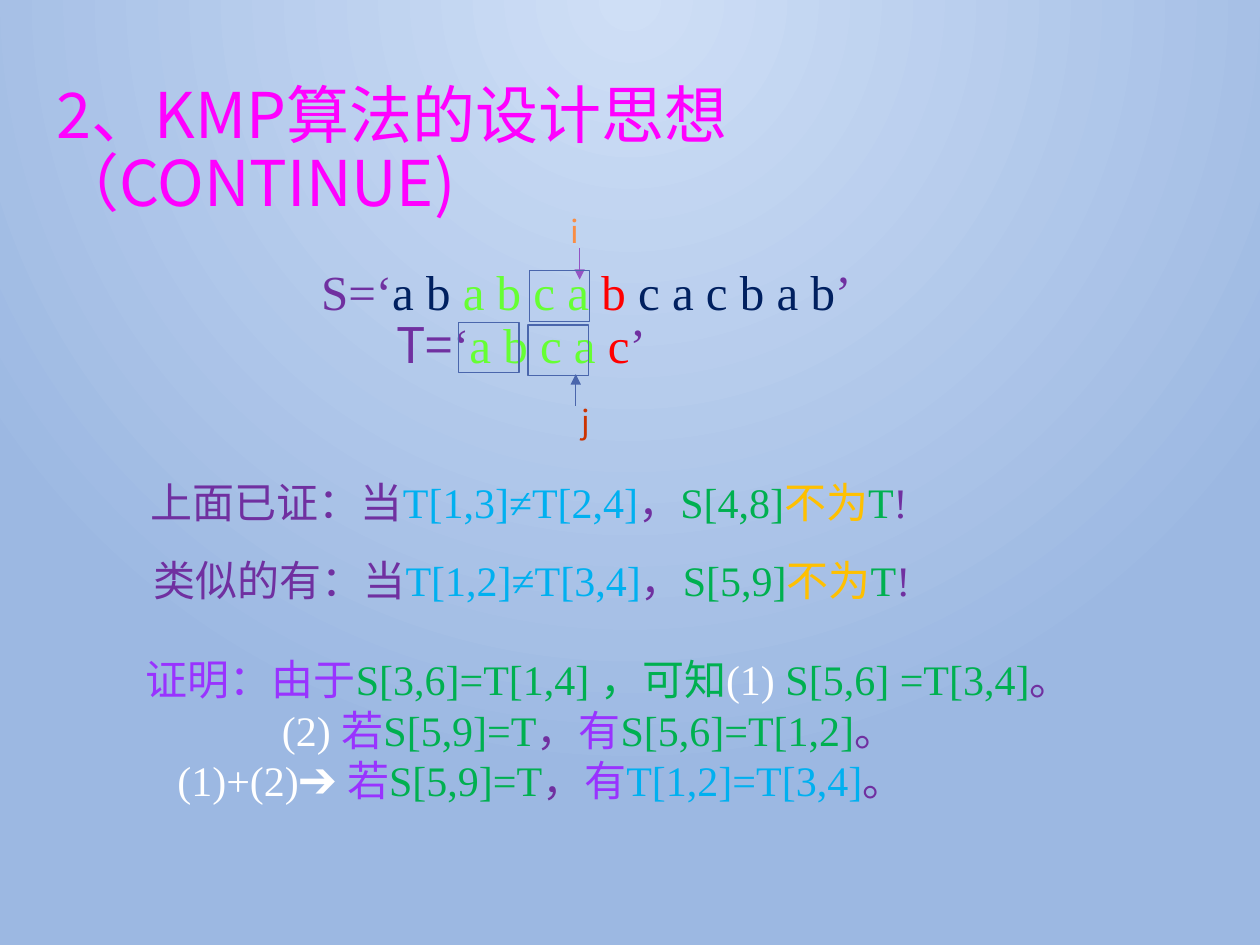
from lxml.etree import SubElement
from pptx import Presentation
from pptx.dml.color import RGBColor
from pptx.enum.shapes import MSO_CONNECTOR, MSO_SHAPE
from pptx.oxml.ns import qn
from pptx.util import Inches, Pt

SERIF = "Times New Roman"
SANS = "Noto Sans CJK SC"

PURPLE = RGBColor(0x70, 0x30, 0xA0)
VIOLET = RGBColor(0x99, 0x33, 0xFF)
SKY = RGBColor(0x00, 0xB0, 0xF0)
GREEN = RGBColor(0x00, 0xB0, 0x50)
LIME = RGBColor(0x66, 0xFF, 0x33)
GOLD = RGBColor(0xFF, 0xC0, 0x00)
RED = RGBColor(0xFF, 0x00, 0x00)
NAVY = RGBColor(0x00, 0x20, 0x60)
WHITE = RGBColor(0xFF, 0xFF, 0xFF)
MAGENTA = RGBColor(0xFF, 0x00, 0xFF)
ORANGE = RGBColor(0xF9, 0x8D, 0x43)
RUST = RGBColor(0xCC, 0x33, 0x00)
BLUE = RGBColor(0x4A, 0x66, 0xAC)
LILAC = RGBColor(0x94, 0x54, 0xC3)
BG_LIGHT = RGBColor(0xCF, 0xDF, 0xF6)
BG_DARK = RGBColor(0x9C, 0xB8, 0xE2)


def set_background(s):
    """Radial gradient spreading from the top centre."""
    fill = s.background.fill
    fill.gradient()
    for stop, color, position in zip(fill.gradient_stops, (BG_LIGHT, BG_DARK), (0, 1)):
        stop.color.rgb = color
        stop.position = position
    grad = s.background._cSld.find(".//" + qn("a:gradFill"))
    grad.remove(grad.find(qn("a:lin")))
    radial = SubElement(grad, qn("a:path"), path="circle")
    SubElement(radial, qn("a:fillToRect"), l="43000", t="0", r="43000", b="100000")


def add_text(s, box, lines, size, font=SERIF, indents=(0,), wrap=True):
    """Each line is a list of (text, colour) or (text, colour, font) runs."""
    tf = s.shapes.add_textbox(*map(Inches, box)).text_frame
    tf.word_wrap = wrap
    for i, (runs, indent) in enumerate(zip(lines, indents)):
        p = tf.paragraphs[0] if i == 0 else tf.add_paragraph()
        if indent:
            p._p.get_or_add_pPr().set("marL", str(Inches(indent)))
        p.font.size = Pt(size)
        p.font.name = font
        for text, color, *own_font in runs:
            r = p.add_run()
            r.text = text
            r.font.color.rgb = color
            if own_font:
                r.font.name = own_font[0]
    return tf


def add_frame(s, x, y):
    """Outline around two matching letters."""
    sp = s.shapes.add_shape(MSO_SHAPE.RECTANGLE, *map(Inches, (x, y, 0.48, 0.4)))
    sp.shadow.inherit = False
    sp.fill.background()
    sp.line.color.rgb = BLUE
    sp.line.width = Pt(0.75)


def add_arrow(s, x, y_from, y_to, color):
    line = s.shapes.add_connector(
        MSO_CONNECTOR.STRAIGHT, *map(Inches, (x, y_from, x, y_to)))
    line.line.color.rgb = color
    line.line.width = Pt(0.75)
    SubElement(line.line._get_or_add_ln(), qn("a:tailEnd"), type="triangle")
    SubElement(line._element.spPr, qn("a:effectLst"))


def claim(lead, condition, part):
    return [(lead, PURPLE), (condition, SKY), ("，", PURPLE), (part, GREEN),
            ("不为", GOLD), ("T", GREEN), ("!", PURPLE)]


def deduction(label, result, color):
    return [(label, WHITE), ("若", VIOLET), ("S[5,9]=T", GREEN), ("，", PURPLE),
            ("有", VIOLET), (result, color), ("。", PURPLE)]


def main():
    prs = Presentation()
    prs.slide_width, prs.slide_height = Inches(10), Inches(7.5)
    s = prs.slides.add_slide(prs.slide_layouts[6])
    set_background(s)

    # Title
    title = add_text(s, (0.35, 0.62, 8.17, 0.57),
                     [[("2、KMP算法的设计思想（CONTINUE)", MAGENTA)]], 36, SANS)
    title.paragraphs[0].line_spacing = 0.9

    # Main string and pattern
    add_text(s, (2.45, 2.03, 4.58, 0.57),
             [[("S=‘", PURPLE), ("a b ", NAVY), ("a b c a ", LIME), ("b ", RED),
               ("c a c b a b", NAVY), ("’", PURPLE)]], 28)
    add_text(s, (3.05, 2.45, 2.21, 0.57),
             [[("T=", PURPLE, SANS), ("‘", PURPLE), ("a b c a ", LIME),
               ("c", RED), ("’", PURPLE)]], 28, wrap=False)

    # Index pointers
    add_text(s, (4.43, 1.63, 0.25, 0.4), [[("i", ORANGE)]], 18, SANS)
    add_arrow(s, 4.6, 1.97, 2.22, LILAC)
    add_text(s, (4.52, 3.14, 0.33, 0.4), [[("j", RUST)]], 18, SANS)
    add_arrow(s, 4.57, 3.22, 2.97, BLUE)

    # Frames on compared letters
    for x, y in ((4.2, 2.15), (4.19, 2.58), (3.64, 2.56)):
        add_frame(s, x, y)

    # Claims
    add_text(s, (1.1, 3.73, 6.96, 0.5),
             [claim("上面已证：当", "T[1,3]≠T[2,4]", "S[4,8]")], 24)
    add_text(s, (1.12, 4.35, 6.72, 0.5),
             [claim("类似的有：当", "T[1,2]≠T[3,4]", "S[5,9]")], 24)

    # Proof
    premise = [("证明：由于", VIOLET), ("S[3,6]=T[1,4] ，可知", GREEN), ("(1)", WHITE),
               (" S[5,6] =T[3,4]", GREEN), ("。", PURPLE)]
    add_text(s, (1.06, 5.14, 8.17, 1.31),
             [premise,
              deduction("(2) ", "S[5,6]=T[1,2]", GREEN),
              deduction("(1)+(2)➔ ", "T[1,2]=T[3,4]", SKY)],
             24, indents=(0, 1.08, 0.25))

    prs.save("out.pptx")


if __name__ == "__main__":
    main()
